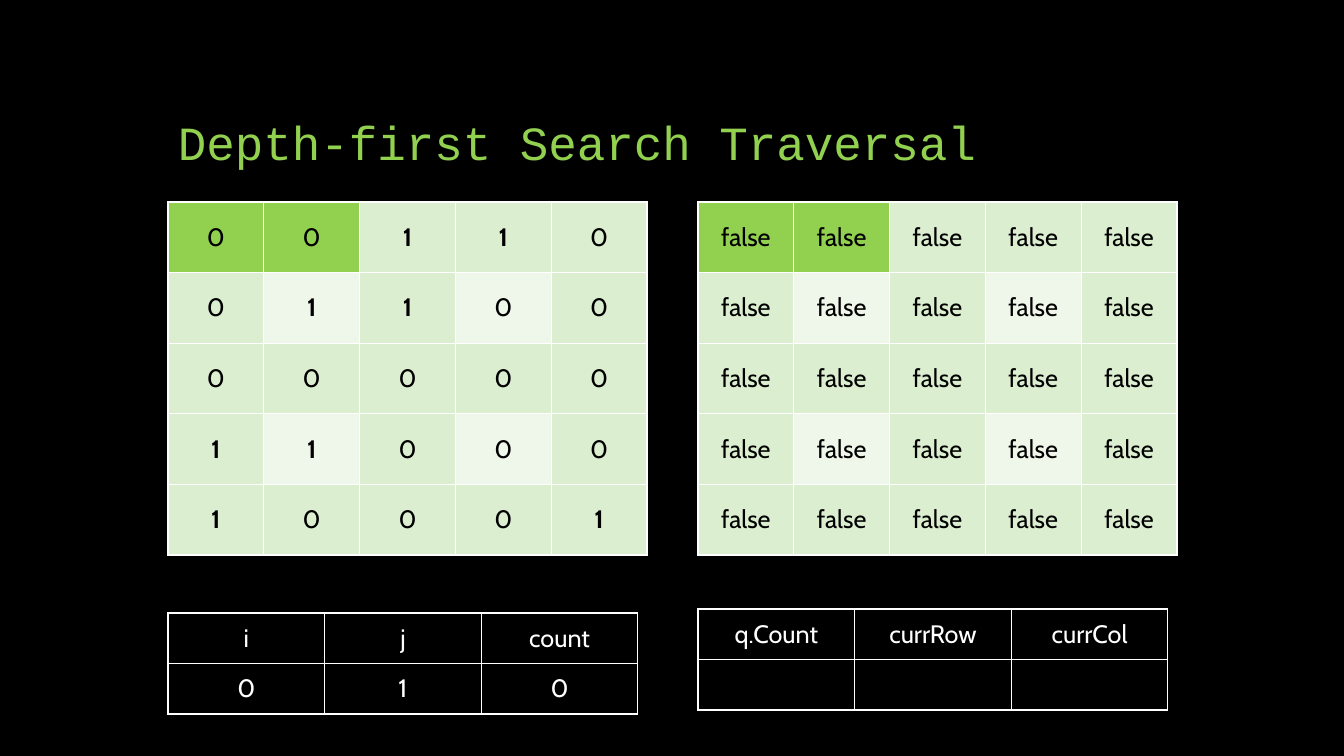
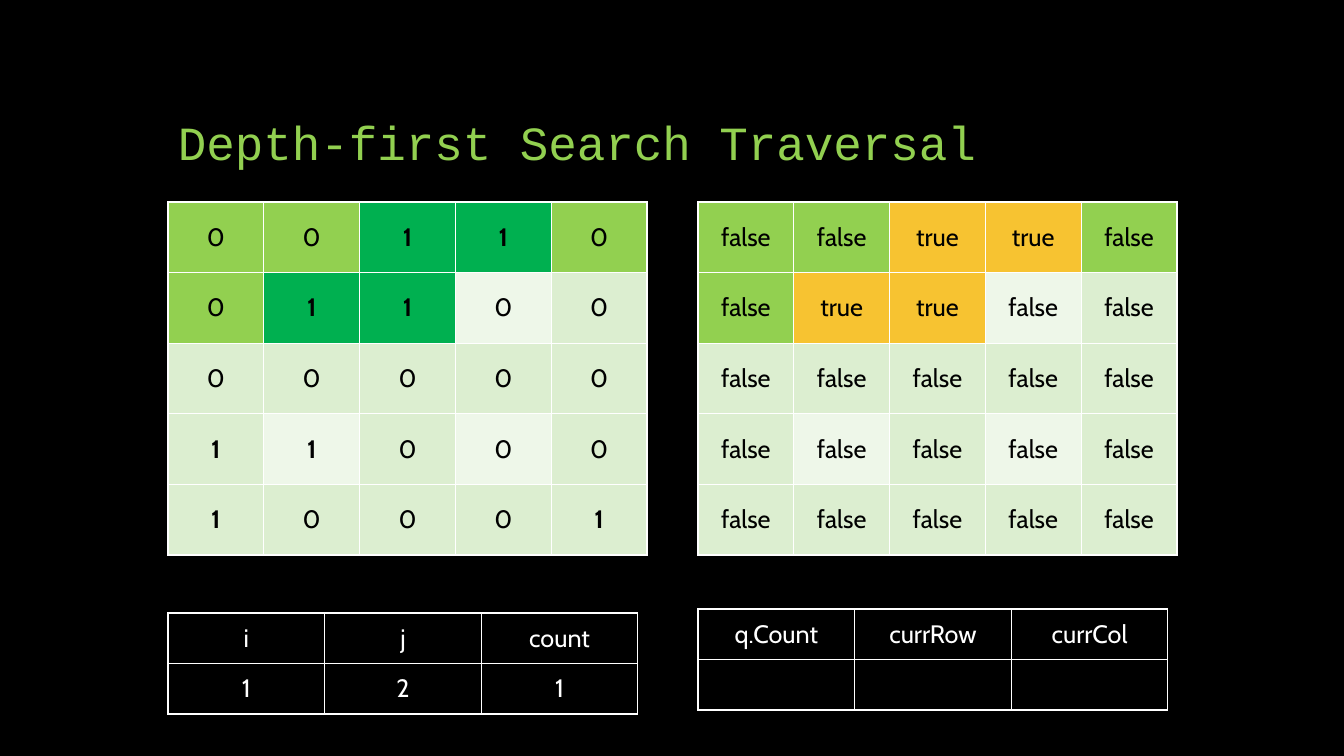
import dataclasses
import typing

import lxml.etree
import pptx
import pptx.dml.color
import pptx.enum.text
import pptx.oxml.ns
import pptx.slide
import pptx.table
import pptx.text.text
import pptx.util

SCALE = 914400 / 100.8
BLACK, WHITE = "000000", "FFFFFF"
LIME, GREEN, GOLD = "92D050", "00B050", "F7C331"
PALE, FAINT = "DCEED0", "EEF7E9"
LEFT, RIGHT = 168, 698
MAP = ["00110", "01100", "00000", "11000", "10001"]


@dataclasses.dataclass(frozen=True)
class Cell:
    text: str
    fill: typing.Optional[str] = None
    color: str = WHITE
    bold: bool = False


@dataclasses.dataclass(frozen=True)
class Box:
    left: int
    top: int
    width: int
    height: int


@dataclasses.dataclass(frozen=True)
class Step:
    row: int
    col: int
    count: int


STEPS = [Step(0, 1, 0), Step(1, 2, 1)]


def px(size: float) -> int:
    return round(size * SCALE)


def rgb(code: str) -> pptx.dml.color.RGBColor:
    return pptx.dml.color.RGBColor.from_string(code)


def place(box: Box) -> typing.List[int]:
    return [px(size) for size in dataclasses.astuple(box)]


def write(frame: pptx.text.text.TextFrame, text: str, *, font: str = "Cabin",
          size: int = 18, color: str = WHITE, bold: bool = False,
          align: pptx.enum.text.PP_ALIGN = pptx.enum.text.PP_ALIGN.CENTER,
          space: float = 1.0) -> None:
    para = frame.paragraphs[0]
    para.alignment = align
    para.line_spacing = space
    run = para.add_run()
    run.text = text
    run.font.name = font
    run.font.size = pptx.util.Pt(size)
    run.font.bold = bold
    run.font.color.rgb = rgb(color)


def edge(cell: pptx.table._Cell) -> None:
    props = cell._tc.get_or_add_tcPr()
    name = pptx.oxml.ns.qn
    for index, side in enumerate(("lnL", "lnR", "lnT", "lnB")):
        line = lxml.etree.Element(name("a:" + side), w=str(pptx.util.Pt(1)))
        fill = lxml.etree.SubElement(line, name("a:solidFill"))
        lxml.etree.SubElement(fill, name("a:srgbClr"), val=WHITE)
        props.insert(index, line)


def draw(slide: pptx.slide.Slide, box: Box,
         rows: typing.List[typing.List[Cell]]) -> None:
    high, wide = len(rows), len(rows[0])
    table = slide.shapes.add_table(high, wide, *place(box)).table
    table.first_row = table.horz_banding = False
    for col in table.columns:
        col.width = px(box.width / wide)
    for row, items in zip(table.rows, rows):
        row.height = px(box.height / high)
        for cell, item in zip(row.cells, items):
            cell.vertical_anchor = pptx.enum.text.MSO_ANCHOR.MIDDLE
            if item.fill:
                cell.fill.solid()
                cell.fill.fore_color.rgb = rgb(item.fill)
            else:
                cell.fill.background()
            edge(cell)
            if item.text:
                write(cell.text_frame, item.text, color=item.color, bold=item.bold)


def title(slide: pptx.slide.Slide, text: str) -> None:
    frame = slide.shapes.add_textbox(*place(Box(LEFT, 50, 1008, 126))).text_frame
    frame.word_wrap = True
    frame.vertical_anchor = pptx.enum.text.MSO_ANCHOR.BOTTOM
    write(frame, text, font="Courier New", size=34, color=LIME,
          align=pptx.enum.text.PP_ALIGN.LEFT, space=0.9)


def grid(step: Step, flags: bool) -> typing.List[typing.List[Cell]]:
    def make(row: int, col: int) -> Cell:
        land = MAP[row][col] == "1"
        done = (row, col) <= (step.row, step.col)
        if done and land:
            fill = GOLD if flags else GREEN
        elif done:
            fill = LIME
        else:
            fill = FAINT if row % 2 and col % 2 else PALE
        if flags:
            return Cell("true" if done and land else "false", fill, BLACK)
        return Cell(MAP[row][col], fill, BLACK, land)

    return [[make(row, col) for col in range(len(MAP[row]))]
            for row in range(len(MAP))]


def build(slide: pptx.slide.Slide, step: Step) -> None:
    slide.background.fill.solid()
    slide.background.fill.fore_color.rgb = rgb(BLACK)
    title(slide, "Depth-first Search Traversal")
    for left, flags in ((LEFT, False), (RIGHT, True)):
        draw(slide, Box(left, 202, 479, 353), grid(step, flags))
    state = [str(value) for value in dataclasses.astuple(step)]
    for left, top, heads, values in (
        (LEFT, 613, ["i", "j", "count"], state),
        (RIGHT, 609, ["q.Count", "currRow", "currCol"], [""] * 3),
    ):
        rows = [[Cell(text) for text in texts] for texts in (heads, values)]
        draw(slide, Box(left, top, 470, 101), rows)


def main() -> None:
    deck = pptx.Presentation()
    deck.slide_width, deck.slide_height = px(1344), px(756)
    for step in STEPS:
        build(deck.slides.add_slide(deck.slide_layouts[6]), step)
    deck.save("out.pptx")


if __name__ == "__main__":
    main()
